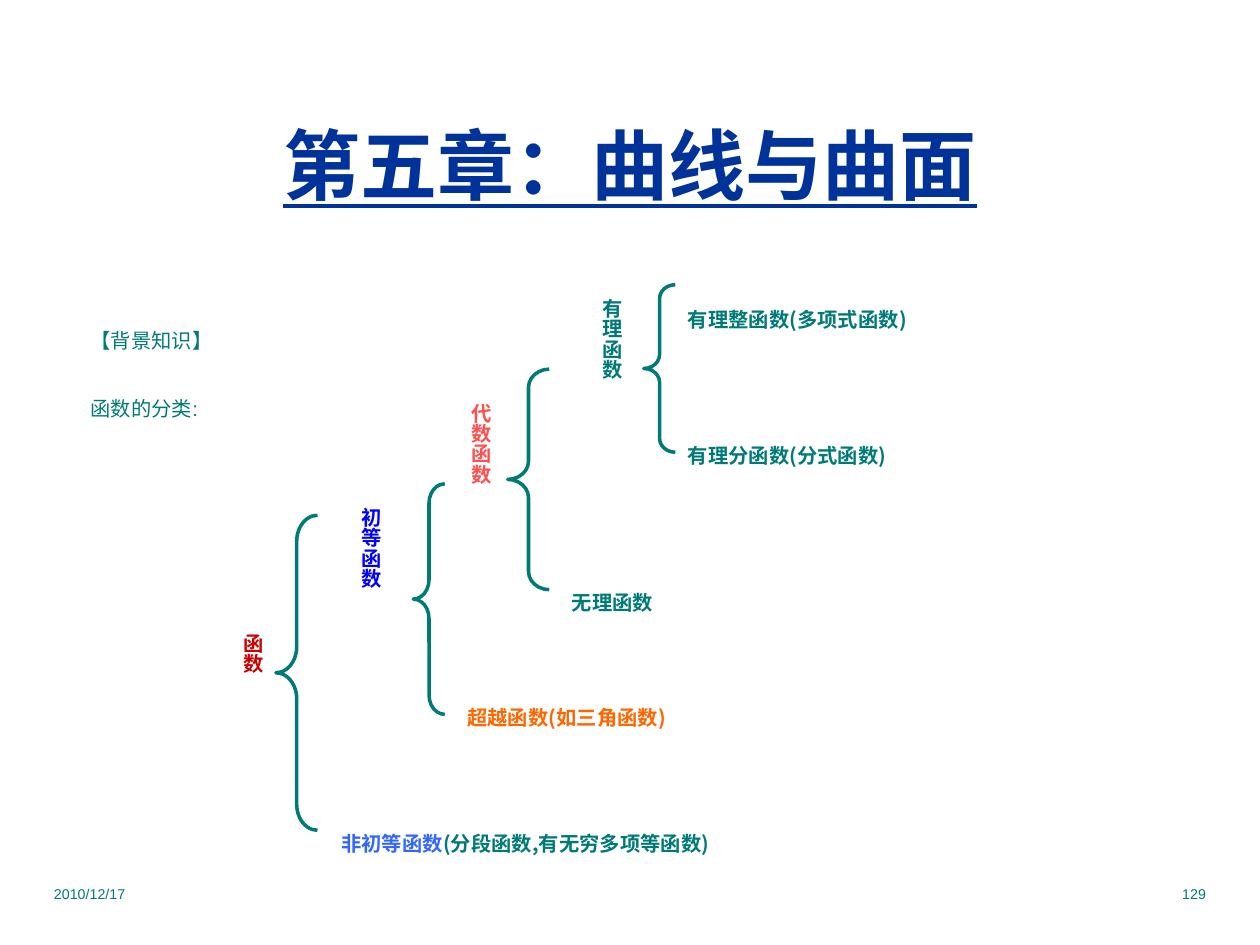
import pptx
import pptx.dml.color
import pptx.enum.shapes
import pptx.enum.text
import pptx.oxml
import pptx.oxml.ns
import pptx.util

RGB = pptx.dml.color.RGBColor
TEAL = RGB(0x00, 0x7A, 0x77)
NAVY = RGB(0x00, 0x33, 0x99)
RED = RGB(0xCC, 0x00, 0x00)
BLUE = RGB(0x00, 0x00, 0xFF)
SKY = RGB(0x33, 0x66, 0xFF)
CORAL = RGB(0xFF, 0x50, 0x50)
ORANGE = RGB(0xFF, 0x66, 0x00)

LATIN = "Arial"
HAN = "Noto Sans CJK SC"
ALIGN = pptx.enum.text.PP_ALIGN
UNIT = pptx.util.Inches(0.1)  # the page is a grid of 100 columns by 75 rows
SUBSCRIPT = "-33000"


def grid(*lengths):
    return [round(length * UNIT) for length in lengths]


def add_span(para, text, size, color, font=LATIN, bold=False, lowered=True):
    span = para.add_run()
    span.text = text
    span.font.size = pptx.util.Pt(size)
    span.font.bold = bold
    span.font.color.rgb = color
    span.font.name = font
    properties = span._r.get_or_add_rPr()
    if lowered:
        properties.set("baseline", SUBSCRIPT)
    east_asian = pptx.oxml.parse_xml(
        f'<a:ea {pptx.oxml.ns.nsdecls("a")} typeface="{HAN}"/>')
    properties.find(pptx.oxml.ns.qn("a:latin")).addnext(east_asian)
    return span


def add_frame(page, box):
    frame = page.shapes.add_textbox(*grid(*box)).text_frame
    frame.word_wrap = True
    return frame


def add_title(page, box):
    frame = add_frame(page, box)
    frame.vertical_anchor = pptx.enum.text.MSO_ANCHOR.MIDDLE
    para = frame.paragraphs[0]
    para.alignment = ALIGN.CENTER
    span = add_span(para, "第五章：曲线与曲面", 44, NAVY, bold=True, lowered=False)
    span.font.underline = True


def add_footer(page, box):
    """Date at the left end of the box, page number at the right end."""
    left, top, width, height = box
    part = 25
    for text, start, align in (("2010/12/17", left, ALIGN.LEFT),
                               ("129", left + width - part, ALIGN.RIGHT)):
        para = add_frame(page, (start, top, part, height)).paragraphs[0]
        para.alignment = align
        add_span(para, text, 14, TEAL)


def add_background(page, box):
    frame = add_frame(page, box)
    add_span(frame.paragraphs[0], "【背景知识】", 20, TEAL)
    para = frame.add_paragraph()
    para.space_before = pptx.util.Pt(10)
    add_span(para, "函数的分类:", 20, TEAL)


def add_label(page, box, *spans, vertical=False):
    frame = add_frame(page, box)
    if vertical:
        frame._txBody.bodyPr.set("vert", "eaVert")
    for text, color in spans:
        add_span(frame.paragraphs[0], text, 20, color, HAN, bold=True)


def add_brace(page, box, curve):
    brace = page.shapes.add_shape(
        pptx.enum.shapes.MSO_SHAPE.LEFT_BRACE, *grid(*box))
    brace.shadow.inherit = False
    brace.adjustments[0] = curve
    brace.adjustments[1] = 0.5
    brace.fill.background()
    brace.line.color.rgb = TEAL
    brace.line.width = pptx.util.Pt(2)


def add_classification(page, box):
    """Tree of functions: upright group names, braces and flat leaf names."""
    left, top, _, _ = box
    groups = (
        ("函数", RED, 0, 26.6, 10),
        ("初等函数", BLUE, 9.4, 16.6, 16.7),
        ("代数函数", CORAL, 18.1, 8.3, 19.2),
        ("有理函数", TEAL, 28.5, 0, 19.2),
    )
    braces = (
        (4.5, 19.1, 3.3, 25, 0.625),
        (15.4, 16.6, 2.5, 18.3, 0.61),
        (22.9, 7.5, 3.3, 17.5, 0.44),
        (33.7, 0.8, 2.5, 13.3, 0.44),
    )
    leaves = (
        (8.7, 41.6, 65, ("非初等函数", SKY), ("(分段函数,有无穷多项等函数)", TEAL)),
        (18.7, 31.6, 52, ("超越函数(如三角函数)", ORANGE)),
        (27, 22.5, 24.2, ("无理函数", TEAL)),
        (36.2, 0, 42.5, ("有理整函数(多项式函数)", TEAL)),
        (36.2, 10.8, 36.7, ("有理分函数(分式函数)", TEAL)),
    )
    for name, color, x, y, height in groups:
        add_label(page, (left + x, top + y, 5.3, height), (name, color),
                  vertical=True)
    for x, y, width, height, curve in braces:
        add_brace(page, (left + x, top + y, width, height), curve)
    for x, y, width, *spans in leaves:
        add_label(page, (left + x, top + y, width, 4.3), *spans)


def main():
    deck = pptx.Presentation()
    deck.slide_width, deck.slide_height = grid(100, 75)
    page = deck.slides.add_slide(deck.slide_layouts[6])
    add_title(page, (3.3, 6.7, 93.4, 12.5))
    add_background(page, (6.2, 23.5, 25, 9.3))
    add_classification(page, (17.4, 21.8, 78.7, 45.9))
    add_footer(page, (3.3, 68.3, 93.4, 5.2))
    deck.save("out.pptx")


if __name__ == "__main__":
    main()
